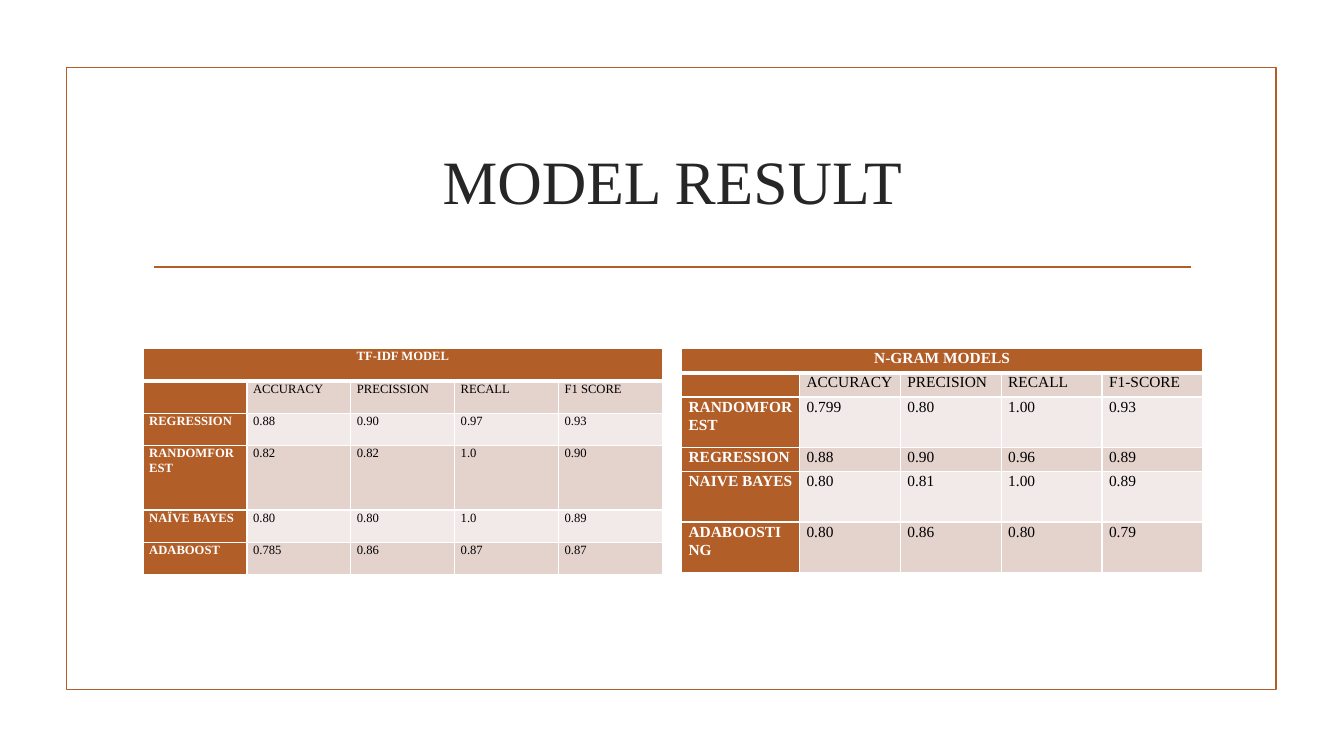
from dataclasses import dataclass

from lxml import etree
from pptx import Presentation
from pptx.dml.color import RGBColor
from pptx.enum.shapes import MSO_CONNECTOR, MSO_SHAPE
from pptx.enum.text import MSO_ANCHOR, PP_ALIGN
from pptx.oxml.ns import qn
from pptx.util import Inches, Pt

RECTANGLE = MSO_SHAPE.RECTANGLE
STRAIGHT = MSO_CONNECTOR.STRAIGHT
MIDDLE = MSO_ANCHOR.MIDDLE
LEFT, CENTER = PP_ALIGN.LEFT, PP_ALIGN.CENTER


@dataclass(frozen=True)
class Theme:
    font: str = "Times New Roman"
    accent: str = "B15E28"
    title: str = "262626"
    white: str = "FFFFFF"
    black: str = "000000"
    bands: tuple[str, str] = ("F2EAE8", "E4D2CD")
    title_size: float = 44
    line_width: float = 1.25
    border: float = 1
    header_border: float = 3


@dataclass(frozen=True)
class ResultTable:
    heading: str
    left: float
    size: float
    inset: float
    col_widths: list[float]
    row_heights: list[float]
    rows: list[list[str]]


THEME = Theme()
TABLE_TOP = 3.46

TABLES = [
    ResultTable(
        "TF-IDF MODEL", 1.42, 9, 0.06, [1.03] * 5,
        [0.32, 0.32, 0.32, 0.64, 0.32, 0.32],
        [["", "ACCURACY", "PRECISSION", "RECALL", "F1 SCORE"],
         ["REGRESSION", "0.88", "0.90", "0.97", "0.93"],
         ["RANDOMFOREST", "0.82", "0.82", "1.0", "0.90"],
         ["NAÏVE BAYES", "0.80", "0.80", "1.0", "0.89"],
         ["ADABOOST", "0.785", "0.86", "0.87", "0.87"]]),
    ResultTable(
        "N-GRAM MODELS", 6.76, 11, 0.07, [1.17] + [1] * 4,
        [0.24, 0.24, 0.5, 0.24, 0.5, 0.5],
        [["", "ACCURACY", "PRECISION", "RECALL", "F1-SCORE"],
         ["RANDOMFOREST", "0.799", "0.80", "1.00", "0.93"],
         ["REGRESSION", "0.88", "0.90", "0.96", "0.89"],
         ["NAIVE BAYES", "0.80", "0.81", "1.00", "0.89"],
         ["ADABOOSTING", "0.80", "0.86", "0.80", "0.79"]]),
]


def rgb(color: str) -> RGBColor:
    return RGBColor.from_string(color)


def set_all(obj, formats: dict) -> None:
    for name, value in formats.items():
        setattr(obj, name, value)


def style_line(line) -> None:
    line.color.rgb = rgb(THEME.accent)
    line.width = Pt(THEME.line_width)


def write(p, text: str, size: float, color: str, bold: bool, align) -> None:
    p.alignment = align
    if text:
        r = p.add_run()
        r.text = text
        set_all(r.font, {"name": THEME.font, "size": Pt(size), "bold": bold})
        r.font.color.rgb = rgb(color)
    else:
        # An empty cell needs its own size, or it stretches the row
        etree.SubElement(p._p, qn("a:endParaRPr"), sz=str(int(size * 100)))


def add_borders(cell, row: int) -> None:
    widths = {"lnL": THEME.border, "lnR": THEME.border,
              "lnT": THEME.header_border if row == 1 else THEME.border,
              "lnB": THEME.header_border if row == 0 else THEME.border}
    tc_pr = cell._tc.get_or_add_tcPr()
    for i, (side, width) in enumerate(widths.items()):
        ln = etree.Element(qn(f"a:{side}"), w=str(Pt(width)))
        fill = etree.SubElement(ln, qn("a:solidFill"))
        etree.SubElement(fill, qn("a:srgbClr"), val=THEME.white)
        tc_pr.insert(i, ln)


def add_result_table(s, spec: ResultTable) -> None:
    grid = [[spec.heading] + [""] * (len(spec.col_widths) - 1)] + spec.rows
    table = s.shapes.add_table(
        len(grid), len(spec.col_widths), Inches(spec.left), Inches(TABLE_TOP),
        Inches(sum(spec.col_widths)), Inches(sum(spec.row_heights))).table
    for column, width in zip(table.columns, spec.col_widths):
        column.width = Inches(width)
    for row, height in zip(table.rows, spec.row_heights):
        row.height = Inches(height)

    for i, texts in enumerate(grid):
        for j, text in enumerate(texts):
            cell = table.cell(i, j)
            is_label = i == 0 or j == 0
            set_all(cell, {"margin_left": Inches(spec.inset),
                           "margin_right": Inches(spec.inset),
                           "margin_top": 0, "margin_bottom": 0})
            cell.fill.solid()
            cell.fill.fore_color.rgb = rgb(
                THEME.accent if is_label else THEME.bands[i % 2])
            add_borders(cell, i)
            p = cell.text_frame.paragraphs[0]
            set_all(p, {"line_spacing": 1.07, "space_after": Pt(8)})
            write(p, text, spec.size, THEME.white if is_label else THEME.black,
                  is_label, CENTER if i == 0 else LEFT)
    table.cell(0, 0).merge(table.cell(0, len(spec.col_widths) - 1))


def main() -> None:
    prs = Presentation()
    set_all(prs, {"slide_width": Inches(13.33), "slide_height": Inches(7.5)})
    s = prs.slides.add_slide(prs.slide_layouts[5])

    # Frame
    frame = s.shapes.add_shape(RECTANGLE, Inches(0.66), Inches(0.67),
                               Inches(12), Inches(6.17))
    frame.shadow.inherit = False
    frame.fill.background()
    style_line(frame.line)

    # Rule under the title
    rule = s.shapes.add_connector(STRAIGHT, Inches(1.53), Inches(2.65),
                                  Inches(11.81), Inches(2.65))
    style_line(rule.line)
    etree.SubElement(rule._element.spPr, qn("a:effectLst"))

    # Title
    title = s.shapes.title
    set_all(title, {"left": Inches(1.42), "top": Inches(1.07),
                    "width": Inches(10.5), "height": Inches(1.43)})
    tf = title.text_frame
    set_all(tf, {"vertical_anchor": MIDDLE, "word_wrap": True})
    write(tf.paragraphs[0], "MODEL RESULT", THEME.title_size, THEME.title,
          False, CENTER)

    # Result tables
    for spec in TABLES:
        add_result_table(s, spec)

    prs.save("out.pptx")


if __name__ == "__main__":
    main()
